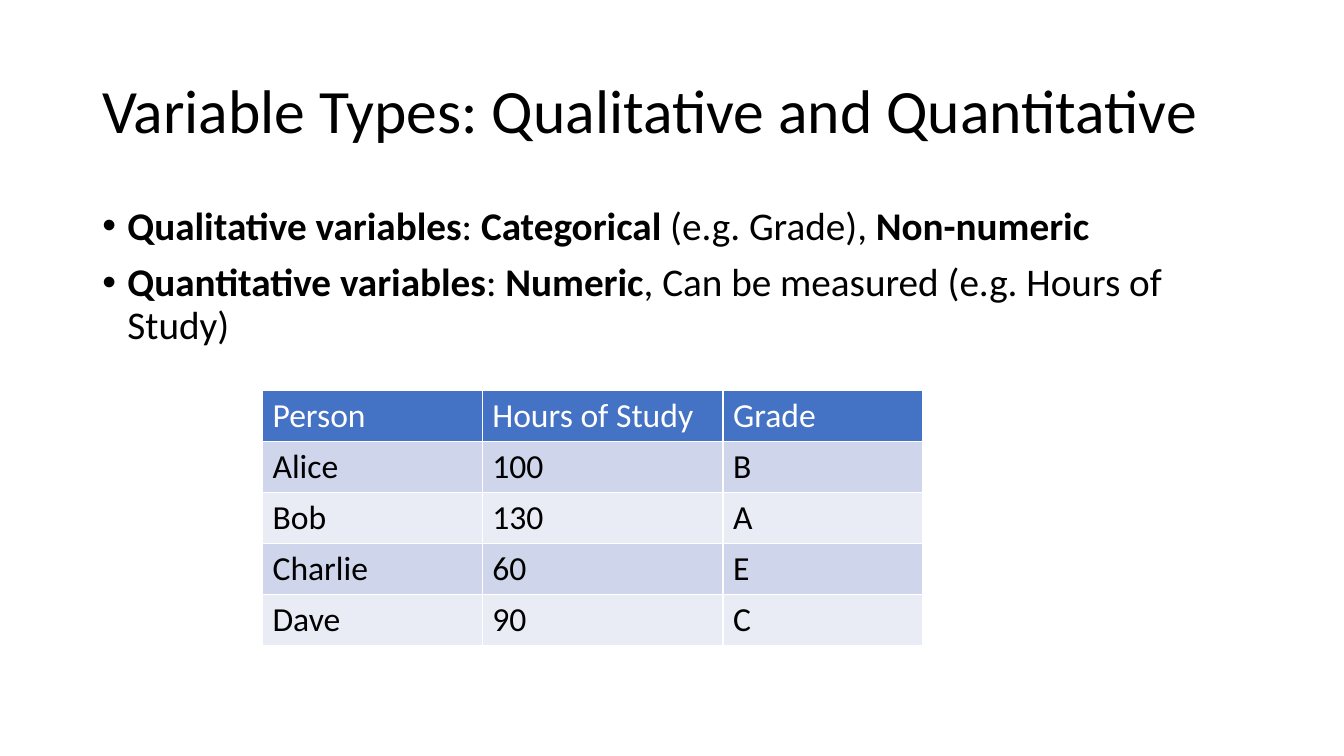
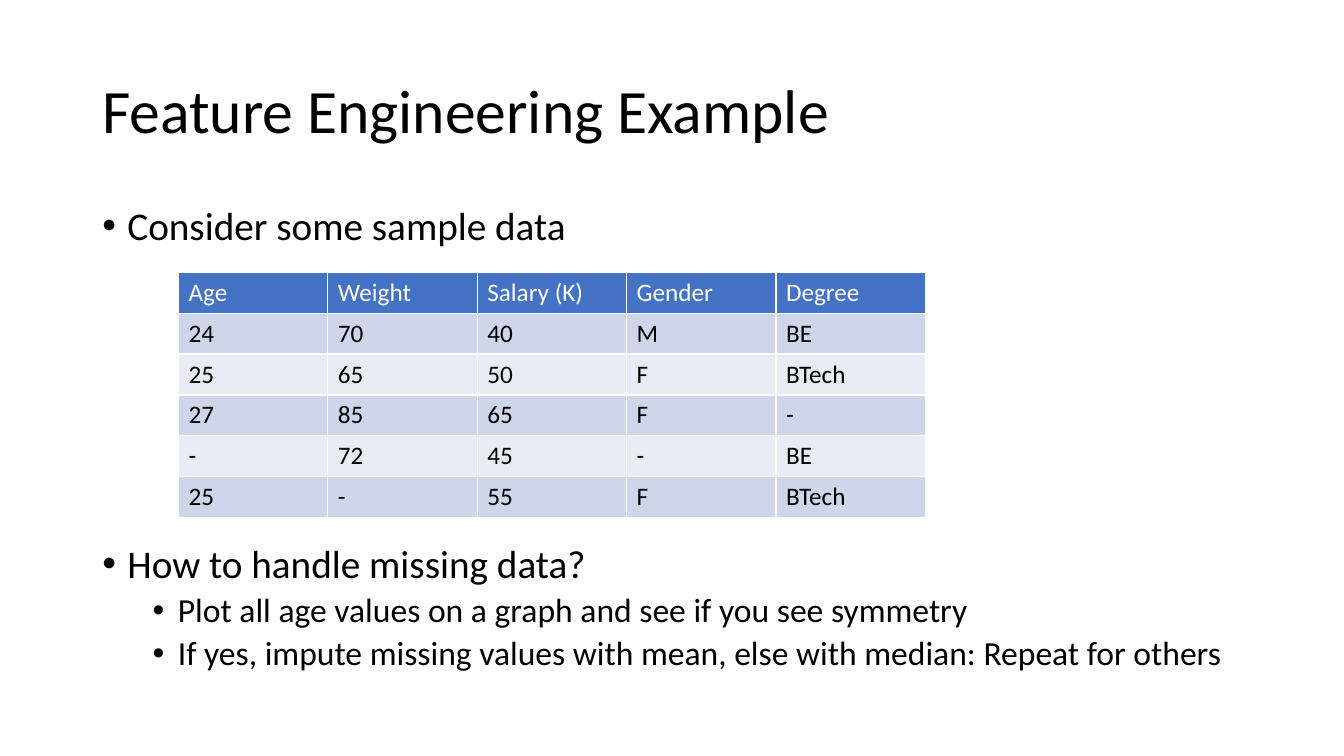
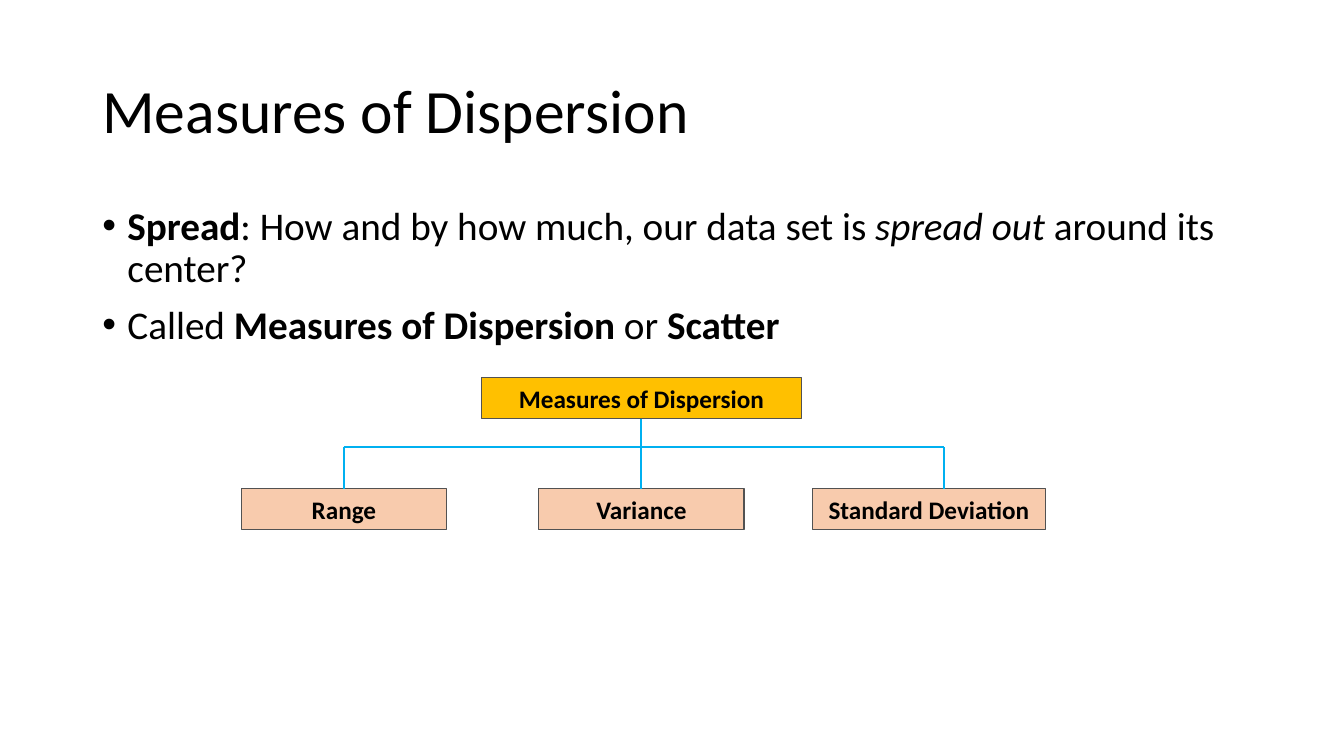
from dataclasses import dataclass

from lxml.etree import SubElement
from pptx import Presentation
from pptx.dml.color import RGBColor as RGB
from pptx.enum.shapes import MSO_CONNECTOR as CONNECTOR, MSO_SHAPE as SHAPE
from pptx.enum.text import MSO_ANCHOR as ANCHOR, PP_ALIGN as ALIGN
from pptx.oxml.ns import qn
from pptx.util import Pt


@dataclass(frozen=True)
class Theme:
    font: str = "Calibri"
    title_size: int = 44
    level_sizes: tuple = (28, 24)
    level_gaps: tuple = (10, 5)
    box_size: int = 18
    line_spacing: float = 0.9
    text: RGB = RGB(0, 0, 0)
    header_text: RGB = RGB(255, 255, 255)
    header: RGB = RGB.from_string("4472C4")
    bands: tuple = (RGB.from_string("CFD5EA"), RGB.from_string("E9EBF5"))
    root: RGB = RGB.from_string("FFC000")
    leaf: RGB = RGB.from_string("F8CBAD")
    outline: RGB = RGB.from_string("525252")
    branch: RGB = RGB.from_string("00B0F0")


theme = Theme()
presentation = Presentation()
presentation.slide_width, presentation.slide_height = Pt(960), Pt(540)


def add_slide(title, bullets):
    """Bullets are (level, space before or None, [(text, style), ...])."""
    slide = presentation.slides.add_slide(presentation.slide_layouts[6])

    # Title
    frame = slide.shapes.add_textbox(Pt(66), Pt(28.8), Pt(828), Pt(104.4)).text_frame
    frame.word_wrap = True
    frame.vertical_anchor = ANCHOR.MIDDLE
    paragraph = frame.paragraphs[0]
    paragraph.text = title
    paragraph.line_spacing = theme.line_spacing
    paragraph.font.name, paragraph.font.size = theme.font, Pt(theme.title_size)
    paragraph.font.color.rgb = theme.text

    # Bulleted body
    frame = slide.shapes.add_textbox(Pt(66), Pt(144), Pt(828), Pt(342.7)).text_frame
    frame.word_wrap = True
    for index, (level, gap, runs) in enumerate(bullets):
        paragraph = frame.add_paragraph() if index else frame.paragraphs[0]
        paragraph.level = level
        paragraph.line_spacing = theme.line_spacing
        paragraph.space_before = Pt(gap or theme.level_gaps[level])
        properties = paragraph._p.get_or_add_pPr()
        properties.set("marL", str(Pt(18 + 36 * level)))
        properties.set("indent", str(Pt(-18)))
        SubElement(properties, qn("a:buFont"), typeface="Arial")
        SubElement(properties, qn("a:buChar"), char="•")
        paragraph.font.name, paragraph.font.size = theme.font, Pt(theme.level_sizes[level])
        paragraph.font.color.rgb = theme.text
        for text, style in runs:
            run = paragraph.add_run()
            run.text = text
            if style == "bold":
                run.font.bold = True
            elif style == "italic":
                run.font.italic = True
    return slide


def add_data_table(slide, left, top, widths, row_height, size, rows):
    table = slide.shapes.add_table(len(rows), len(widths), Pt(left), Pt(top),
                                   Pt(sum(widths)), Pt(row_height * len(rows))).table
    for column, width in zip(table.columns, widths):
        column.width = Pt(width)
    for row_index, values in enumerate(rows):
        for column_index, value in enumerate(values):
            cell = table.cell(row_index, column_index)
            cell.fill.solid()
            cell.fill.fore_color.rgb = theme.bands[(row_index - 1) % 2] if row_index else theme.header
            paragraph = cell.text_frame.paragraphs[0]
            paragraph.text = value
            font = paragraph.font
            font.name, font.size, font.bold = theme.font, Pt(size), False
            font.color.rgb = theme.text if row_index else theme.header_text


# Slide 1: variable types
slide = add_slide("Variable Types: Qualitative and Quantitative", [
    (0, None, [("Qualitative variables", "bold"), (":", ""), (" Categorical ", "bold"),
               ("(e.g. Grade), ", ""), ("Non-numeric", "bold")]),
    (0, None, [("Quantitative variables", "bold"), (":", ""), (" Numeric", "bold"),
               (", Can be measured (e.g. Hours of Study)", "")]),
])
add_data_table(slide, 187.5, 279, (157, 172, 142.5), 36.4, 24, [
    ("Person", "Hours of Study", "Grade"),
    ("Alice", "100", "B"),
    ("Bob", "130", "A"),
    ("Charlie", "60", "E"),
    ("Dave", "90", "C"),
])

# Slide 2: feature engineering, with room for the table between the bullets
slide = add_slide("Feature Engineering Example", [
    (0, None, [("Consider some sample data", "")]),
    (0, 211, [("How to handle missing data?", "")]),
    (1, None, [("Plot all age values on a graph and see if you see symmetry", "")]),
    (1, None, [("If yes, impute missing values with mean, else with median: Repeat for others", "")]),
])
add_data_table(slide, 127.5, 194.5, (106.7,) * 5, 29.2, 18, [
    ("Age", "Weight", "Salary (K)", "Gender", "Degree"),
    ("24", "70", "40", "M", "BE"),
    ("25", "65", "50", "F", "BTech"),
    ("27", "85", "65", "F", "-"),
    ("-", "72", "45", "-", "BE"),
    ("25", "-", "55", "F", "BTech"),
])

# Slide 3: measures of dispersion
slide = add_slide("Measures of Dispersion", [
    (0, None, [("Spread", "bold"), (": How and by how much, our data set is ", ""),
               ("spread out ", "italic"), ("around its center?", "")]),
    (0, None, [("Called ", ""), ("Measures of Dispersion ", "bold"), ("or ", ""),
               ("Scatter", "bold")]),
])

# Tree boxes
box_height, root_top, leaf_top = 29.2, 269.8, 349
for text, left, top, width, color in [
    ("Measures of Dispersion", 344, root_top, 228.5, theme.root),
    ("Range", 172.5, leaf_top, 146.5, theme.leaf),
    ("Variance", 385, leaf_top, 146.5, theme.leaf),
    ("Standard Deviation", 580.3, leaf_top, 166.5, theme.leaf),
]:
    box = slide.shapes.add_shape(SHAPE.RECTANGLE, Pt(left), Pt(top), Pt(width), Pt(box_height))
    box.shadow.inherit = False
    box.fill.solid()
    box.fill.fore_color.rgb = color
    box.line.color.rgb, box.line.width = theme.outline, Pt(0.75)
    paragraph = box.text_frame.paragraphs[0]
    paragraph.text = text
    paragraph.alignment = ALIGN.CENTER
    font = paragraph.font
    font.name, font.size, font.bold = theme.font, Pt(theme.box_size), True
    font.color.rgb = theme.text

# Tree branches
bar_y, range_x, variance_x, deviation_x = 319.5, 245.5, 458, 674
for start_x, start_y, end_x, end_y in [
    (variance_x, root_top + box_height, variance_x, leaf_top),
    (range_x, bar_y, deviation_x, bar_y),
    (range_x, bar_y, range_x, leaf_top),
    (deviation_x, bar_y, deviation_x, leaf_top),
]:
    branch = slide.shapes.add_connector(CONNECTOR.STRAIGHT, Pt(start_x), Pt(start_y),
                                        Pt(end_x), Pt(end_y))
    branch.line.color.rgb, branch.line.width = theme.branch, Pt(1.5)
    SubElement(branch._element.spPr, qn("a:effectLst"))

presentation.save("out.pptx")
